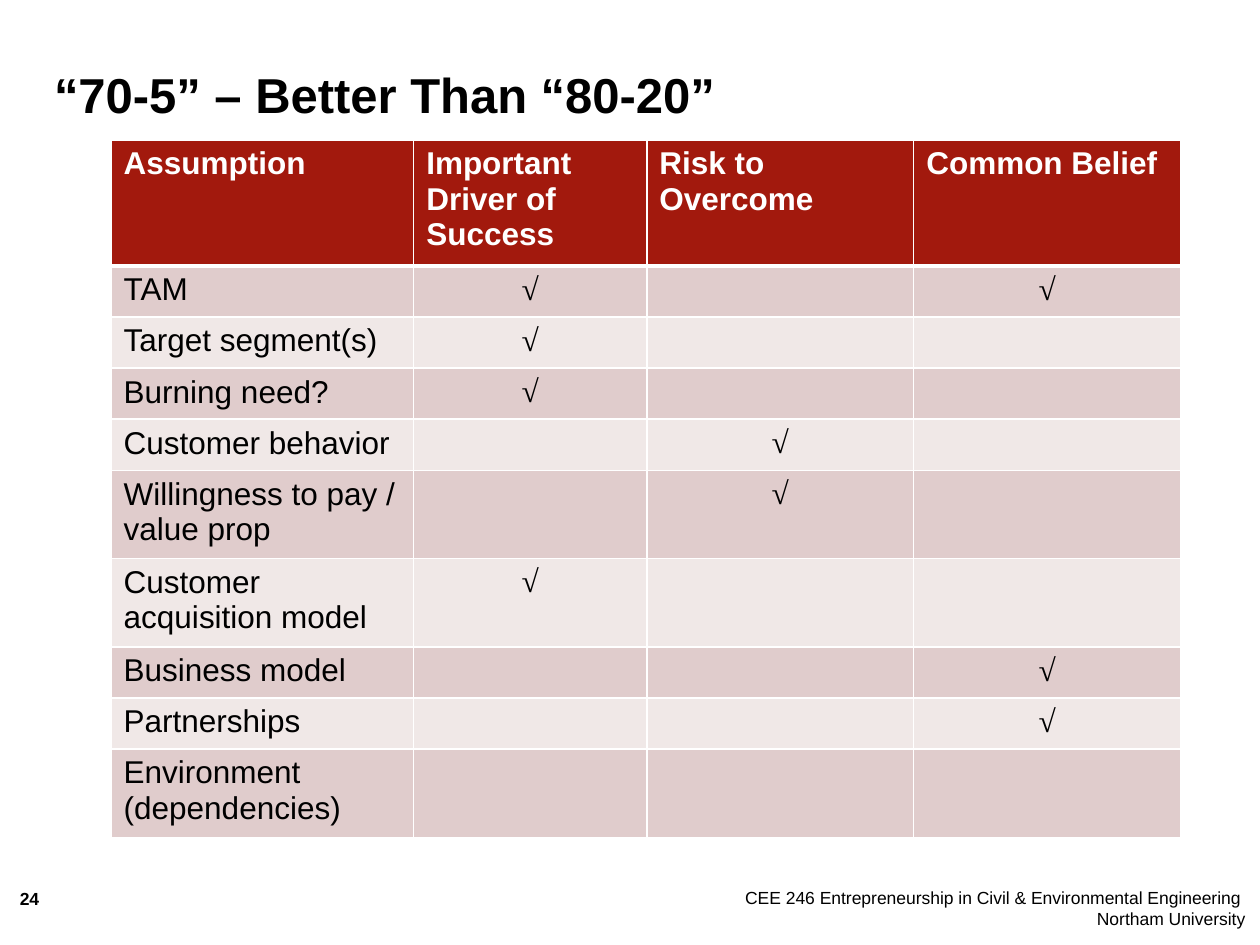
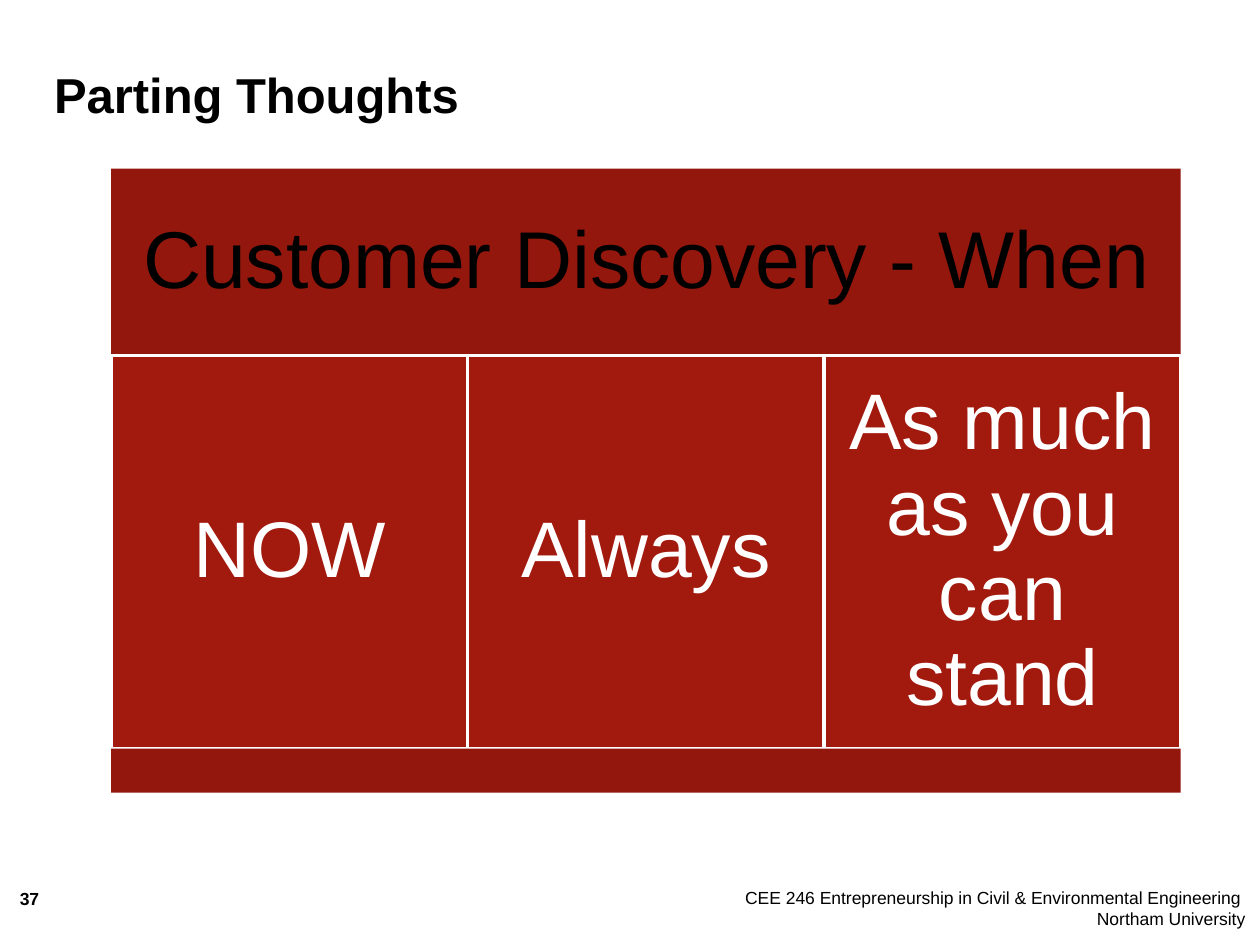
from lxml.etree import SubElement
from pptx import Presentation
from pptx.dml.color import RGBColor
from pptx.enum.shapes import MSO_SHAPE
from pptx.enum.text import MSO_ANCHOR, PP_ALIGN
from pptx.oxml.ns import qn
from pptx.util import Cm, Pt

COLORS = {
    "text": "000000",
    "white": "FFFFFF",
    "red": "A2190D",
    "dark_red": "93170C",
    "band_dark": "E0CCCC",
    "band_light": "F0E8E7",
}
LEFT, WIDTH = 2.24, 21.56
TITLES = [("“70-5” – Better Than “80-20”", "24"), ("Parting Thoughts", "37")]
FOOTER = ["CEE 246 Entrepreneurship in Civil & Environmental Engineering ", "Northam University"]


def write(tf, lines, size, color="text", bold=False, align=PP_ALIGN.LEFT,
          anchor=MSO_ANCHOR.TOP, inset=0, font="Arial"):
    tf.word_wrap = True
    tf.vertical_anchor = anchor
    tf.margin_left = tf.margin_right = tf.margin_top = tf.margin_bottom = Cm(inset)
    p = tf.paragraphs[0]
    p.alignment = align
    for i, line in enumerate(lines):
        if i:
            p.add_line_break()
        r = p.add_run()
        r.text = line
        r.font.name = font
        r.font.size = Pt(size)
        r.font.bold = bold
        r.font.color.rgb = RGBColor.from_string(COLORS[color])
    return p


def add_box(s, left, top, width, height, fill, border=None):
    sp = s.shapes.add_shape(MSO_SHAPE.RECTANGLE, Cm(left), Cm(top), Cm(width), Cm(height))
    sp.shadow.inherit = False
    sp.fill.solid()
    sp.fill.fore_color.rgb = RGBColor.from_string(COLORS[fill])
    if border:
        sp.line.color.rgb = RGBColor.from_string(COLORS[border])
        sp.line.width = Pt(2)
    else:
        sp.line.fill.background()
    return sp


prs = Presentation()
prs.slide_width, prs.slide_height = Cm(25.4), Cm(19.05)

slides = []
for title, number in TITLES:
    s = prs.slides.add_slide(prs.slide_layouts[6])
    footer = s.shapes.add_textbox(Cm(14.94), Cm(17.88), Cm(10.16), Cm(1))
    write(footer.text_frame, FOOTER, 10, align=PP_ALIGN.RIGHT)
    page = s.shapes.add_textbox(Cm(0.4), Cm(17.91), Cm(0.91), Cm(0.61))
    write(page.text_frame, [number], 10, bold=True)
    heading = s.shapes.add_textbox(Cm(1.09), Cm(0.93), Cm(19.2), Cm(1.55))
    write(heading.text_frame, [title], 28, bold=True, anchor=MSO_ANCHOR.BOTTOM)
    slides.append(s)
table_slide, closing_slide = slides

HEADERS = ["Assumption", "Important Driver of Success", "Risk to Overcome", "Common Belief"]
ASSUMPTIONS = [
    ("TAM", [1, 3]),
    ("Target segment(s)", [1]),
    ("Burning need?", [1]),
    ("Customer behavior", [2]),
    ("Willingness to pay / value prop", [2]),
    ("Customer acquisition model", [1]),
    ("Business model", [3]),
    ("Partnerships", [3]),
    ("Environment (dependencies)", []),
]
COL_WIDTHS = [6.1, 4.7, 5.38, 5.38]
ROW_HEIGHT = 1.03

rows = [HEADERS] + [
    [name] + ["√" if col in checks else "" for col in range(1, 4)]
    for name, checks in ASSUMPTIONS
]
table = table_slide.shapes.add_table(
    len(rows), len(HEADERS), Cm(LEFT), Cm(2.82), Cm(WIDTH), Cm(ROW_HEIGHT * len(rows))
).table
for column, width in zip(table.columns, COL_WIDTHS):
    column.width = Cm(width)
for i, row in enumerate(rows):
    table.rows[i].height = Cm(ROW_HEIGHT)
    for j, value in enumerate(row):
        cell = table.cell(i, j)
        tc_pr = cell._tc.get_or_add_tcPr()
        for side in ("L", "R", "T", "B"):
            thick = (i, side) in ((0, "B"), (1, "T"))
            ln = SubElement(tc_pr, qn(f"a:ln{side}"), w=str(Pt(3 if thick else 1)))
            SubElement(SubElement(ln, qn("a:solidFill")), qn("a:srgbClr"), val=COLORS["white"])
        fill = "red" if i == 0 else "band_dark" if i % 2 else "band_light"
        cell.fill.solid()
        cell.fill.fore_color.rgb = RGBColor.from_string(COLORS[fill])
        if not value:
            continue
        check = value == "√"
        p = cell.text_frame.paragraphs[0]
        p.alignment = PP_ALIGN.CENTER if check else PP_ALIGN.LEFT
        r = p.add_run()
        r.text = value
        r.font.name = "Times New Roman" if check else "Arial"
        r.font.size = Pt(18)
        r.font.bold = check or i == 0
        r.font.color.rgb = RGBColor.from_string(COLORS["text" if i else "white"])

ANSWERS = ["NOW", "Always", "As much as you can stand"]
BANNER_TOP, BANNER_HEIGHT, ANSWER_HEIGHT, BASE_HEIGHT = 3.4, 3.77, 7.92, 0.89
answer_top = BANNER_TOP + BANNER_HEIGHT
answer_width = WIDTH / len(ANSWERS)

banner = add_box(closing_slide, LEFT, BANNER_TOP, WIDTH, BANNER_HEIGHT, "dark_red")
write(banner.text_frame, ["Customer Discovery - When"], 46, align=PP_ALIGN.CENTER,
      anchor=MSO_ANCHOR.MIDDLE, inset=0.47).line_spacing = 0.9
for i, answer in enumerate(ANSWERS):
    sp = add_box(closing_slide, LEFT + i * answer_width, answer_top,
                 answer_width, ANSWER_HEIGHT, "red", "white")
    write(sp.text_frame, [answer], 45, "white", align=PP_ALIGN.CENTER,
          anchor=MSO_ANCHOR.MIDDLE, inset=0.47).line_spacing = 0.9
add_box(closing_slide, LEFT, answer_top + ANSWER_HEIGHT, WIDTH, BASE_HEIGHT, "dark_red")

prs.save("out.pptx")
